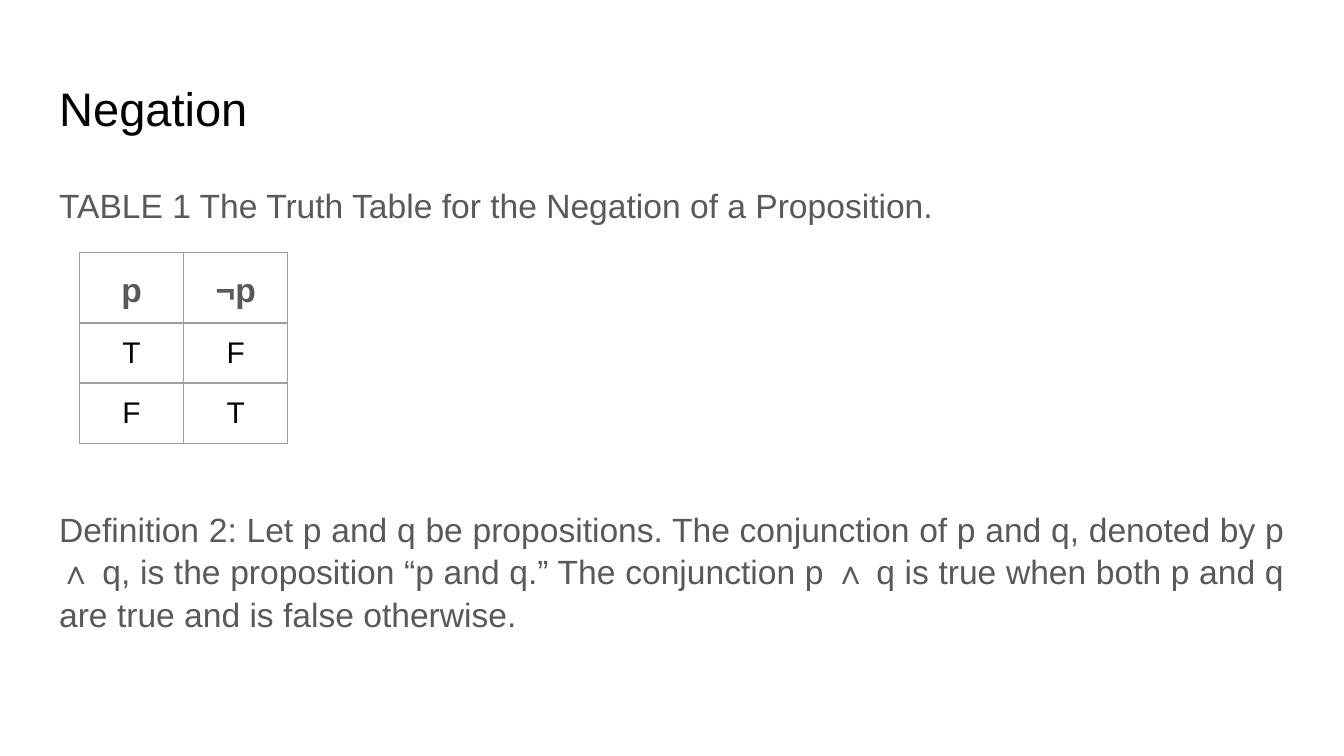
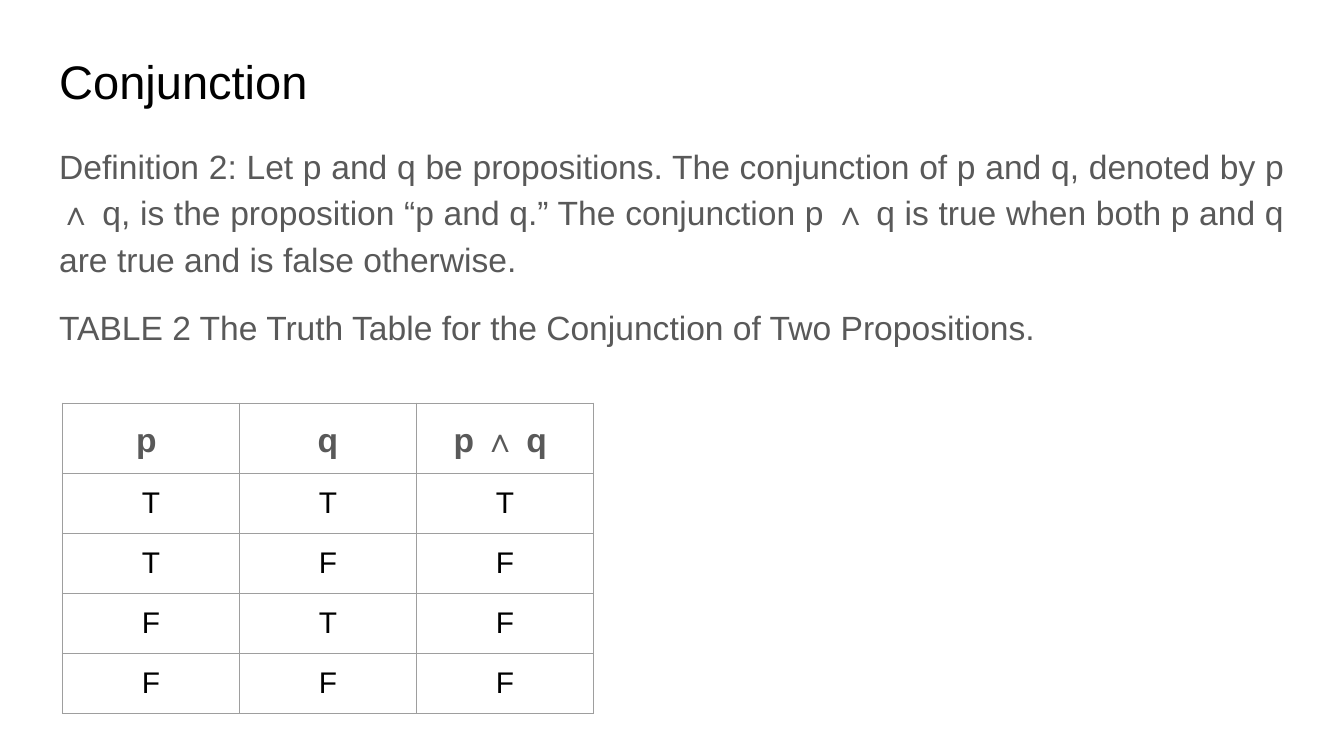
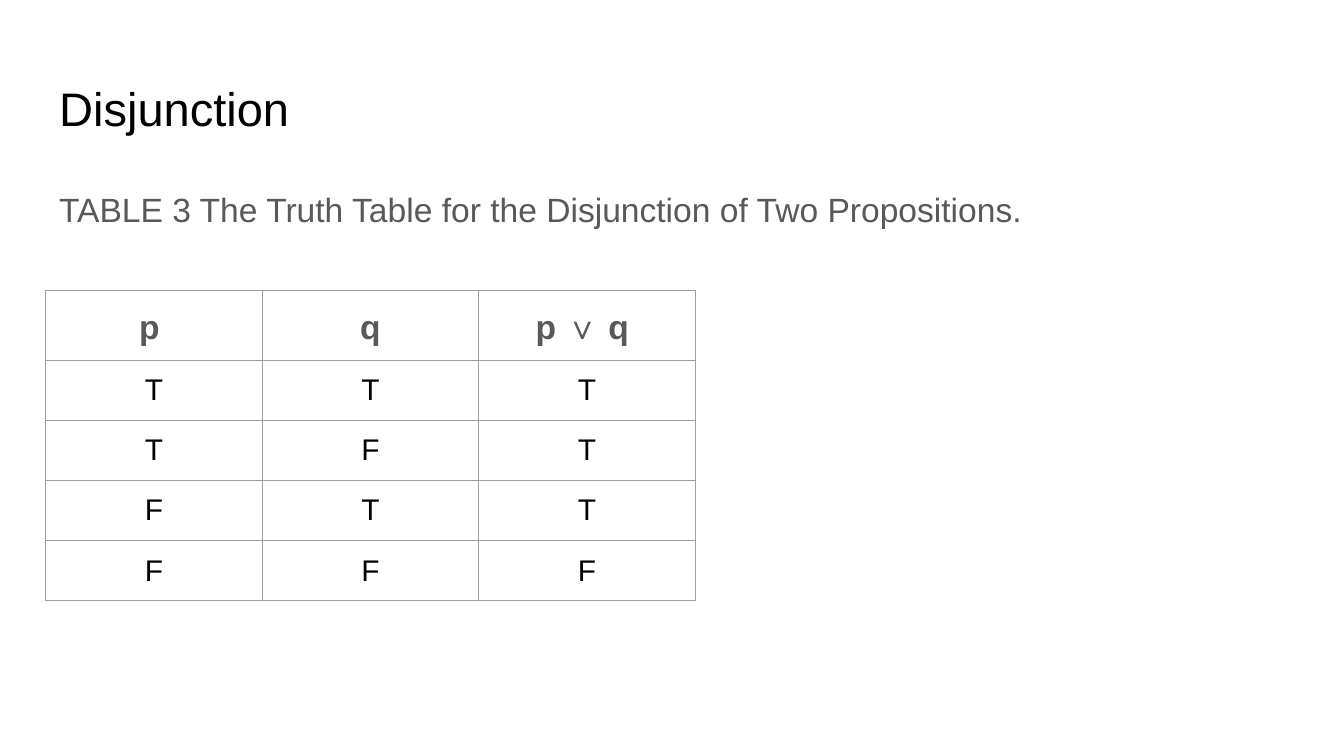
from lxml import etree
from pptx import Presentation
from pptx.dml.color import RGBColor
from pptx.enum.text import MSO_ANCHOR, MSO_AUTO_SIZE, PP_ALIGN
from pptx.oxml.ns import qn
from pptx.util import Pt

LEFT, MID, FULL = PP_ALIGN.LEFT, PP_ALIGN.CENTER, PP_ALIGN.JUSTIFY
TOP = MSO_ANCHOR.TOP
COLOR = {"ink": "000000", "gray": "595959", "line": "9E9E9E", "page": "FFFFFF"}
FONT = "Arial"
EDGE, WIDE, PAD = 24.5, 671, 7.2
ROW = 30.24

# Content: body text is (text, align, line spacing, space before)
DEFINE = ("Definition 2: Let p and q be propositions. The conjunction of p and q, "
          "denoted by p ∧ q, is the proposition “p and q.” The conjunction p ∧ q "
          "is true when both p and q are true and is false otherwise.")
CAPTION = "TABLE {} The Truth Table for the {}."

SLIDES = [
    {"title": "Negation", "top": 35.3, "body": (90.7, 295),
     "text": [(CAPTION.format(1, "Negation of a Proposition"), FULL, 1.05, 0),
              (DEFINE, FULL, 1.05, 151)],
     "table": (42.6, 135.4, 55.8),
     "head": ["p", "¬p"], "rows": ["TF", "FT"]},
    {"title": "Conjunction", "top": 20.9, "body": (67.7, 269),
     "text": [(DEFINE, FULL, 1.15, 0),
              (CAPTION.format(2, "Conjunction of Two Propositions"), LEFT, 1.15, 12)],
     "table": (33.5, 216, 94.8),
     "head": ["p ", "q", "p ∧ q "], "rows": ["TTT", "TFF", "FTF", "FFF"]},
    {"title": "Disjunction", "top": 35.3, "body": (90.7, 269),
     "text": [(CAPTION.format(3, "Disjunction of Two Propositions"), LEFT, 1.15, 0)],
     "table": (24.5, 155.5, 116),
     "head": ["p ", "q", "p ∨ q "], "rows": ["TTT", "TFT", "FTT", "FFF"]},
]


def write(para, text, size, color, align, bold=False, space=1.0, gap=0):
    para.alignment, para.line_spacing = align, space
    para.space_before = Pt(gap)
    run = para.add_run()
    run.text = text
    font = run.font
    font.name, font.size, font.bold = FONT, Pt(size), bold
    font.color.rgb = RGBColor.from_string(COLOR[color])


def pad(part):
    part.margin_left = part.margin_right = Pt(PAD)
    part.margin_top = part.margin_bottom = Pt(PAD)
    part.vertical_anchor = TOP


def place(shape, top, height):
    shape.left, shape.top = Pt(EDGE), Pt(top)
    shape.width, shape.height = Pt(WIDE), Pt(height)
    frame = shape.text_frame
    frame.word_wrap, frame.auto_size = True, MSO_AUTO_SIZE.NONE
    pad(frame)
    return frame


def plain(para):
    """Remove the bullet and its indent."""
    props = para._p.get_or_add_pPr()
    props.set("marL", "0")
    props.set("indent", "0")
    etree.SubElement(props, qn("a:buNone"))


def border(cell):
    props = cell._tc.get_or_add_tcPr()
    for side in "LRTB":
        line = etree.SubElement(props, qn("a:ln" + side), w=str(Pt(0.75)))
        fill = etree.SubElement(line, qn("a:solidFill"))
        etree.SubElement(fill, qn("a:srgbClr"), val=COLOR["line"])


def add_grid(slide, head, rows, spot):
    left, top, width = spot
    data = [head, *rows]
    grid = slide.shapes.add_table(len(data), len(head), Pt(left), Pt(top),
                                  Pt(width * len(head)), Pt(ROW * len(data))).table
    grid.first_row = grid.horz_banding = False
    for col in grid.columns:
        col.width = Pt(width)
    for r, line in enumerate(data):
        grid.rows[r].height = Pt(ROW)
        for c, text in enumerate(line):
            cell = grid.cell(r, c)
            pad(cell)
            border(cell)
            cell.fill.background()
            para = cell.text_frame.paragraphs[0]
            if r == 0:
                write(para, text, 18, "gray", MID, True, 1.15, 12)
            else:
                write(para, text, 16, "ink", MID)


def add_page(deck, page):
    slide = deck.slides.add_slide(deck.slide_layouts[1])
    # Title
    frame = place(slide.shapes.title, page["top"], 45.4)
    write(frame.paragraphs[0], page["title"], 25.2, "ink", LEFT)
    # Body
    frame = place(slide.placeholders[1], *page["body"])
    for i, (text, align, space, gap) in enumerate(page["text"]):
        para = frame.add_paragraph() if i else frame.paragraphs[0]
        write(para, text, 18, "gray", align, space=space, gap=gap)
        plain(para)
    # Truth table
    add_grid(slide, page["head"], page["rows"], page["table"])


def main():
    deck = Presentation()
    deck.slide_width, deck.slide_height = Pt(720), Pt(405)
    paper = deck.slide_master.background.fill
    paper.solid()
    paper.fore_color.rgb = RGBColor.from_string(COLOR["page"])
    for page in SLIDES:
        add_page(deck, page)
    deck.save("out.pptx")


if __name__ == "__main__":
    main()
